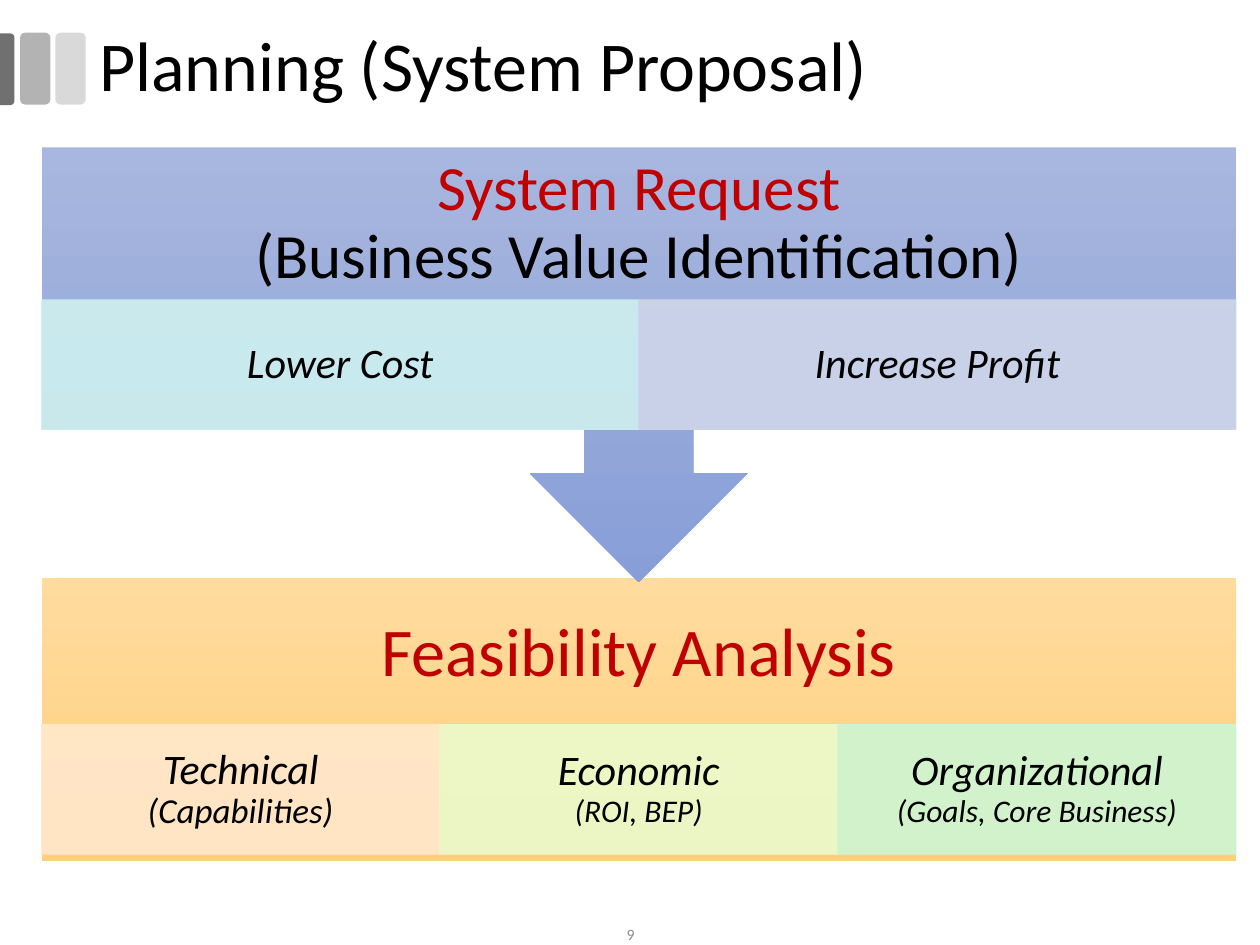
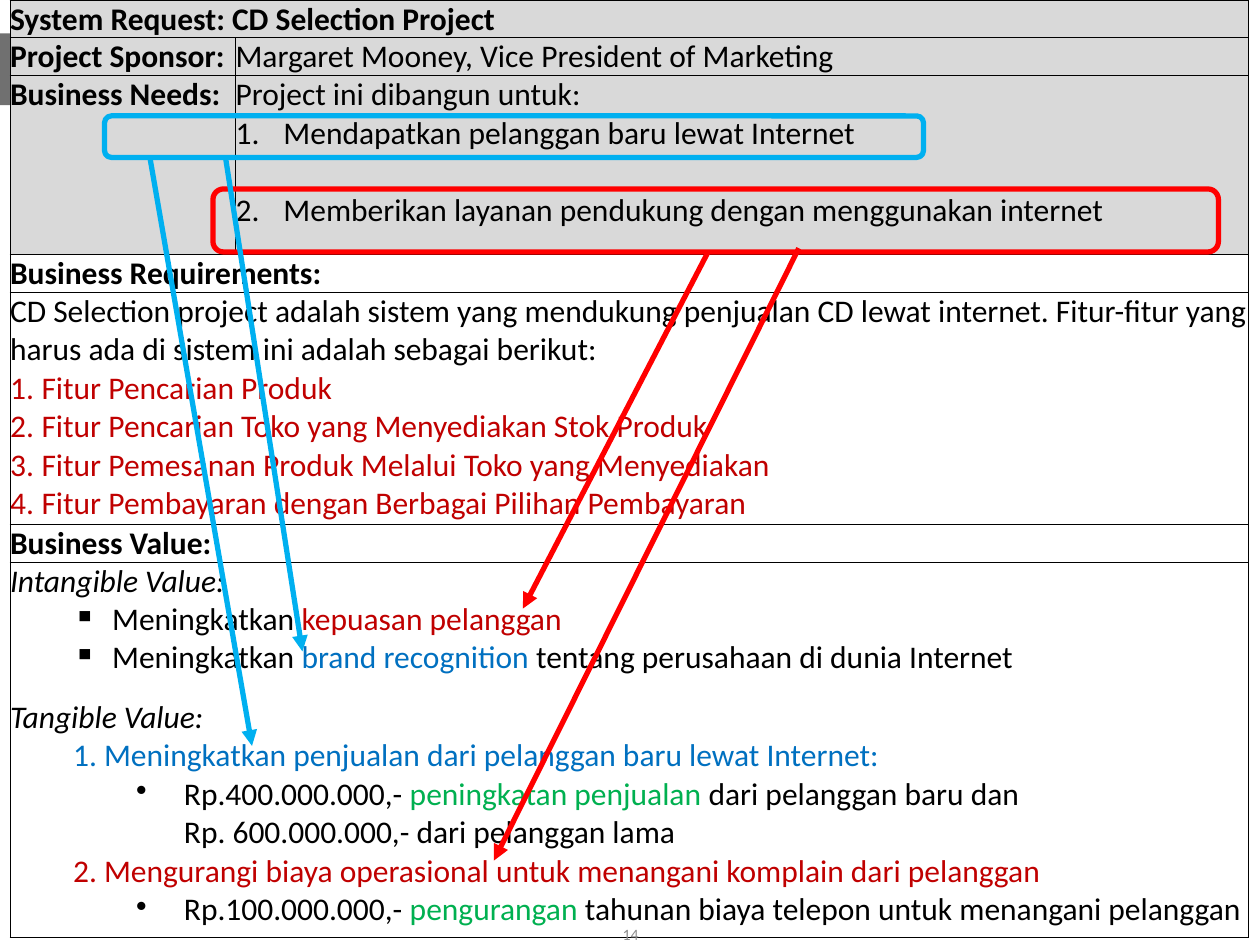
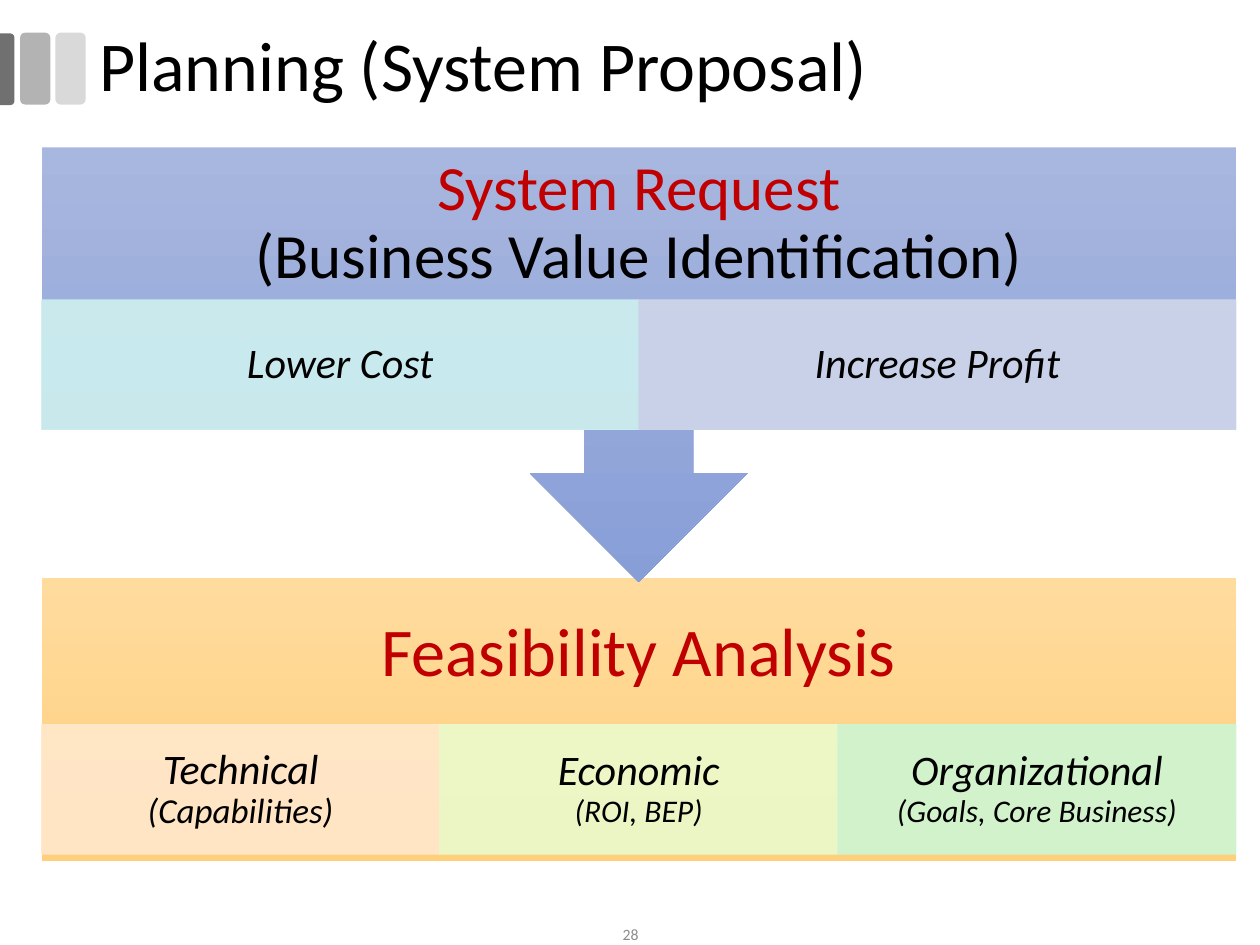
"""Builds three slides on system planning: two proposal diagrams and a system request table."""
from lxml.etree import SubElement as Sub
from pptx import Presentation
from pptx.dml.color import RGBColor
from pptx.enum.shapes import MSO_CONNECTOR as Link, MSO_SHAPE as Form
from pptx.enum.text import MSO_ANCHOR as Anchor, PP_ALIGN as Align
from pptx.oxml.ns import qn
from pptx.util import Inches, Pt

FONT = "Calibri"
BLACK, WHITE, GREY = "000000", "FFFFFF", "D9D9D9"
RED, BLUE, GREEN = "C00000", "0070C0", "00B050"
SKY, FLAME = "00B0F0", "FF0000"

BARS = [
    (Form.ROUNDED_RECTANGLE, (0.44, 0.26, 0.24, 0.57), GREY, 0),
    (Form.ROUNDED_RECTANGLE, (0.16, 0.26, 0.24, 0.57), "B3B3B3", 0),
    (Form.ROUND_2_SAME_RECTANGLE, (-0.23, 0.49, 0.57, 0.12), "707070", 90),
]

TITLE = "Planning (System Proposal)"
LEFT, WIDE = 0.33, 9.48
BLOCKS = [
    {
        "form": Form.RECTANGLE, "top": 4.59, "high": 2.24, "fade": ("FFDB9E", "FFD07C"),
        "head": [("Feasibility Analysis", {"size": 39, "color": RED})],
        "pad": 0.3, "row": 5.75,
        "parts": [
            ("Technical", "(Capabilities)", 20, "FFE8CC"),
            ("Economic", "(ROI, BEP)", 18, "EAFBCC"),
            ("Organizational", "(Goals, Core Business)", 18, "CCF6D3"),
        ],
    },
    {
        "form": Form.DOWN_ARROW_CALLOUT, "top": 1.17, "high": 3.45, "fade": ("A8B7DF", "889ED7"),
        "head": [("System Request\n", {"size": 36, "color": RED}),
                 ("(Business Value Identification)", {"size": 36})],
        "pad": 0.28, "row": 2.38,
        "parts": [
            ("Lower Cost", "", 18, "CEF0EF"),
            ("Increase Profit", "", 18, "CFD6EA"),
        ],
    },
]

BOLD, SLANT = {"bold": True}, {"italic": True}
RUBY, AZURE, LEAF = {"color": RED}, {"color": BLUE}, {"color": GREEN}
STEP = {"mark": "1.", "indent": (0.38, -0.38)}
ITEM = {"mark": "1.", "indent": (0.25, -0.25)}
SQUARE = {"mark": "▪", "indent": (0.81, -0.31), "level": 1}
POINT = {"indent": (0.5, 0), "level": 1}
DOT = {"mark": "•", "indent": (1.38, -0.38), "level": 2}

COLS = [1.79, 8.04]
ROWS = [
    (0.29, GREY, [[([("System Request: CD Selection Project", BOLD)], {})]]),
    (0.29, GREY, [
        [([("Project Sponsor:", BOLD)], {})],
        [([("Margaret Mooney, Vice President of Marketing", {})], {})],
    ]),
    (1.42, GREY, [
        [([("Business Needs:", BOLD)], {})],
        [
            ([("Project ini dibangun untuk:", {})], {}),
            ([("Mendapatkan pelanggan baru lewat Internet", {})], STEP),
            ([("Memberikan layanan pendukung dengan menggunakan internet", {})],
             {**STEP, "before": 22}),
        ],
    ]),
    (0.29, WHITE, [[([("Business Requirements:", BOLD)], {})]]),
    (1.84, WHITE, [[
        ([("CD Selection project adalah sistem yang mendukung penjualan CD lewat internet. "
           "Fitur-fitur yang harus ada di sistem ini adalah sebagai berikut:", {})], {}),
        ([("Fitur Pencarian Produk", RUBY)], ITEM),
        ([("Fitur Pencarian Toko yang Menyediakan Stok Produk", RUBY)], ITEM),
        ([("Fitur Pemesanan Produk Melalui Toko yang Menyediakan", RUBY)], ITEM),
        ([("Fitur Pembayaran dengan Berbagai Pilihan Pembayaran", RUBY)], ITEM),
    ]]),
    (0.29, WHITE, [[([("Business Value:", BOLD)], {})]]),
    (2.98, WHITE, [[
        ([("Intangible Value:", SLANT)], {}),
        ([("Meningkatkan ", {}), ("kepuasan pelanggan", RUBY)], SQUARE),
        ([("Meningkatkan ", {}), ("brand recognition ", AZURE),
          ("tentang perusahaan di dunia Internet", {})], SQUARE),
        ([("Tangible Value:", SLANT)], {"before": 12}),
        ([("1. Meningkatkan penjualan dari pelanggan baru lewat Internet:", AZURE)], POINT),
        ([("Rp.400.000.000,- ", {}), ("peningkatan penjualan ", LEAF),
          ("dari pelanggan baru dan\nRp. 600.000.000,- dari pelanggan lama", {})], DOT),
        ([("2. Mengurangi biaya operasional untuk menangani komplain dari pelanggan", RUBY)], POINT),
        ([("Rp.100.000.000,- ", {}), ("pengurangan", LEAF),
          (" tahunan biaya telepon untuk menangani pelanggan", {})], DOT),
    ]]),
]
RINGS = [((0.83, 0.92, 6.5, 0.33), SKY), ((1.69, 1.5, 7.98, 0.5), FLAME)]
ARROWS = [
    ((1.19, 1.25, 2, 5.92), SKY),
    ((6.34, 1.97, 3.92, 6.83), FLAME),
    ((5.62, 2, 4.15, 4.83), FLAME),
    ((1.79, 1.25, 2.4, 5.17), SKY),
]


def rgb(code):
    return RGBColor.from_string(code)


def spots(box):
    return [Inches(v) for v in box]


def write(para, runs):
    for text, look in runs:
        look = {"size": 18, "color": BLACK, **look}
        for i, part in enumerate(text.split("\n")):
            if i:
                para.add_line_break()
            if not part:
                continue
            run = para.add_run()
            run.text = part
            form = {**look, "name": FONT, "size": Pt(look["size"])}
            run.font.color.rgb = rgb(form.pop("color"))
            for key, val in form.items():
                setattr(run.font, key, val)


def layout(para, mark=None, indent=None, level=0, before=0):
    para.level = level
    props = para._p.get_or_add_pPr()
    if indent:
        for key, val in zip(("marL", "indent"), indent):
            props.set(key, str(Inches(val)))
    if mark == "1.":
        Sub(props, qn("a:buAutoNum"), type="arabicPeriod")
    elif mark:
        Sub(props, qn("a:buChar"), char=mark)
    if before:
        para.space_before = Pt(before)


def fit(frame, runs, pad=(0.1, 0.05), align=Align.CENTER, gap=None):
    side, edge = spots(pad)
    form = {"word_wrap": True, "vertical_anchor": Anchor.MIDDLE, "margin_left": side,
            "margin_right": side, "margin_top": edge, "margin_bottom": edge}
    for key, val in form.items():
        setattr(frame, key, val)
    para = frame.paragraphs[0]
    para.alignment = align
    if gap:
        para.line_spacing = gap
    write(para, runs)


def label(slide, box, runs, **form):
    fit(slide.shapes.add_textbox(*spots(box)).text_frame, runs, **form)


def shape(slide, form, box, fill=None, line=None, width=0.5):
    item = slide.shapes.add_shape(form, *spots(box))
    item.shadow.inherit = False
    if isinstance(fill, tuple):
        item.fill.gradient()
        item.fill.gradient_angle = 270
        for stop, code in zip(item.fill.gradient_stops, fill):
            stop.color.rgb = rgb(code)
    elif fill:
        item.fill.solid()
        item.fill.fore_color.rgb = rgb(fill)
    else:
        item.fill.background()
    if line:
        item.line.color.rgb = rgb(line)
        item.line.width = Pt(width)
    else:
        item.line.fill.background()
    return item


def start(deck):
    slide = deck.slides.add_slide(deck.slide_layouts[6])
    for form, box, fill, turn in BARS:
        bar = shape(slide, form, box, fill)
        bar.rotation = turn
        if turn:
            bar.adjustments[0] = 0.29
    return slide


def footer(slide, num):
    label(slide, (3.88, 7.33, 2.25, 0.17), [(num, {"size": 9, "color": "8C8C8C"})])


def block(slide, form, top, high, fade, head, pad, row, parts):
    shape(slide, form, (LEFT, top, WIDE, high), fade)
    label(slide, (LEFT, top, WIDE, 1.21), head, pad=(pad, pad), gap=0.9)
    wide = WIDE / len(parts)
    for i, (name, note, size, fill) in enumerate(parts):
        cell = shape(slide, Form.RECTANGLE, (LEFT + i * wide, row, wide, 1.03), fill, fill)
        for tint in cell._element.spPr.iter(qn("a:srgbClr")):
            Sub(tint, qn("a:alpha"), val="90000")
        runs = [(name + "\n" if note else name, {"size": 24, **SLANT}),
                (note, {"size": size, **SLANT})]
        fit(cell.text_frame, runs, pad=(0.19, 0.03), gap=0.9)


def plan(deck, num):
    slide = start(deck)
    for part in BLOCKS:
        block(slide, **part)
    label(slide, (0.69, 0.17, 9.3, 0.75), [(TITLE, {"size": 40})], align=Align.LEFT, gap=0.9)
    footer(slide, num)


def border(cell):
    props = cell._tc.get_or_add_tcPr()
    for i, side in enumerate(("lnL", "lnR", "lnT", "lnB")):
        line = Sub(props, qn("a:" + side), w=str(Pt(0.5)))
        Sub(Sub(line, qn("a:solidFill")), qn("a:srgbClr"), val=BLACK)
        props.insert(i, line)


def grid(slide):
    box = spots((0.08, 0, sum(COLS), sum(row[0] for row in ROWS)))
    table = slide.shapes.add_table(len(ROWS), len(COLS), *box).table
    table.first_row = table.horz_banding = False
    for col, wide in zip(table.columns, COLS):
        col.width = Inches(wide)
    for r, (high, fill, texts) in enumerate(ROWS):
        table.rows[r].height = Inches(high)
        cells = [table.cell(r, c) for c in range(len(COLS))]
        if len(texts) == 1:
            cells[0].merge(cells[1])
        for cell in cells:
            cell.fill.solid()
            cell.fill.fore_color.rgb = rgb(fill)
            border(cell)
            for side in ("left", "right", "top", "bottom"):
                setattr(cell, "margin_" + side, 0)
        for cell, paras in zip(cells, texts):
            frame = cell.text_frame
            for i, (runs, form) in enumerate(paras):
                para = frame.add_paragraph() if i else frame.paragraphs[0]
                layout(para, **form)
                write(para, runs)


def arrow(slide, ends, color):
    item = slide.shapes.add_connector(Link.STRAIGHT, *spots(ends))
    item.line.color.rgb = rgb(color)
    item.line.width = Pt(3)
    Sub(item.line._get_or_add_ln(), qn("a:tailEnd"), type="triangle")
    Sub(item._element.spPr, qn("a:effectLst"))


def request(deck, num):
    slide = start(deck)
    grid(slide)
    for box, color in RINGS:
        shape(slide, Form.ROUNDED_RECTANGLE, box, line=color, width=3)
    for ends, color in ARROWS:
        arrow(slide, ends, color)
    footer(slide, num)


def main():
    deck = Presentation()
    deck.slide_width, deck.slide_height = spots((10, 7.5))
    plan(deck, "9")
    request(deck, "14")
    plan(deck, "28")
    deck.save("out.pptx")


if __name__ == "__main__":
    main()
